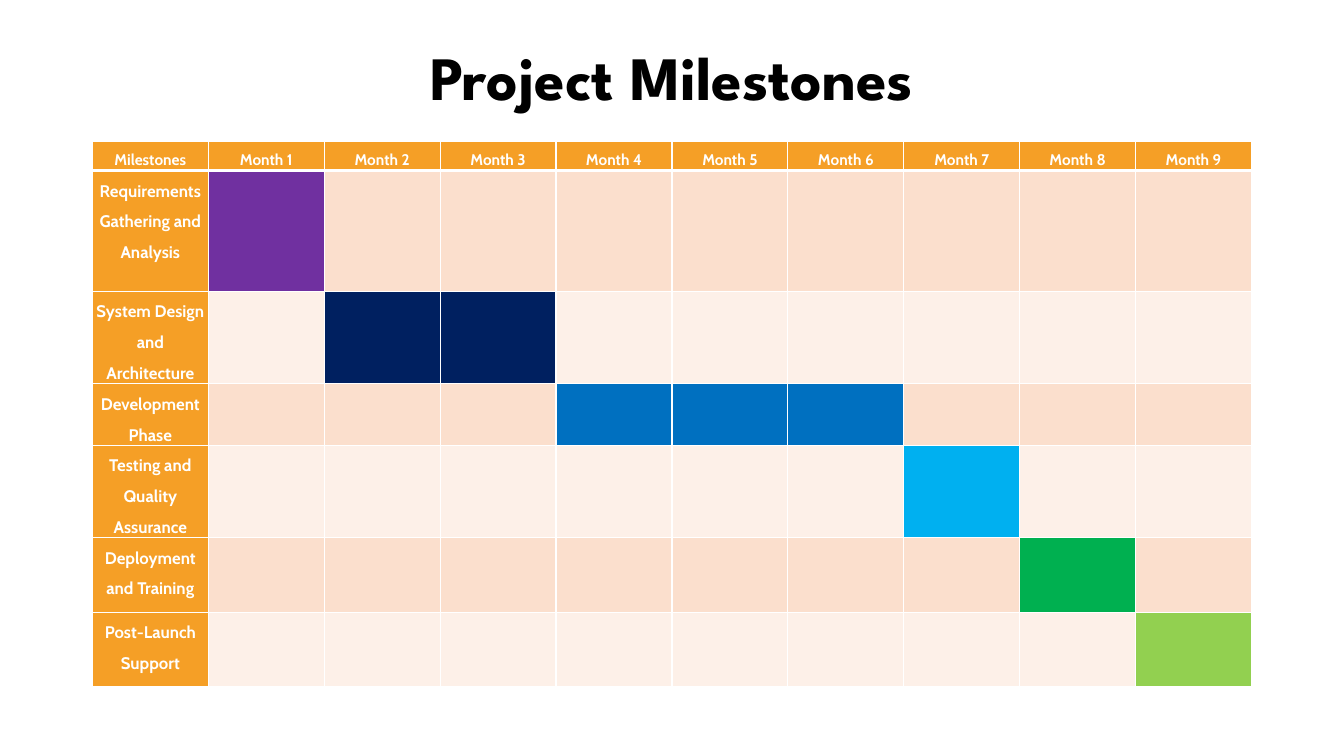
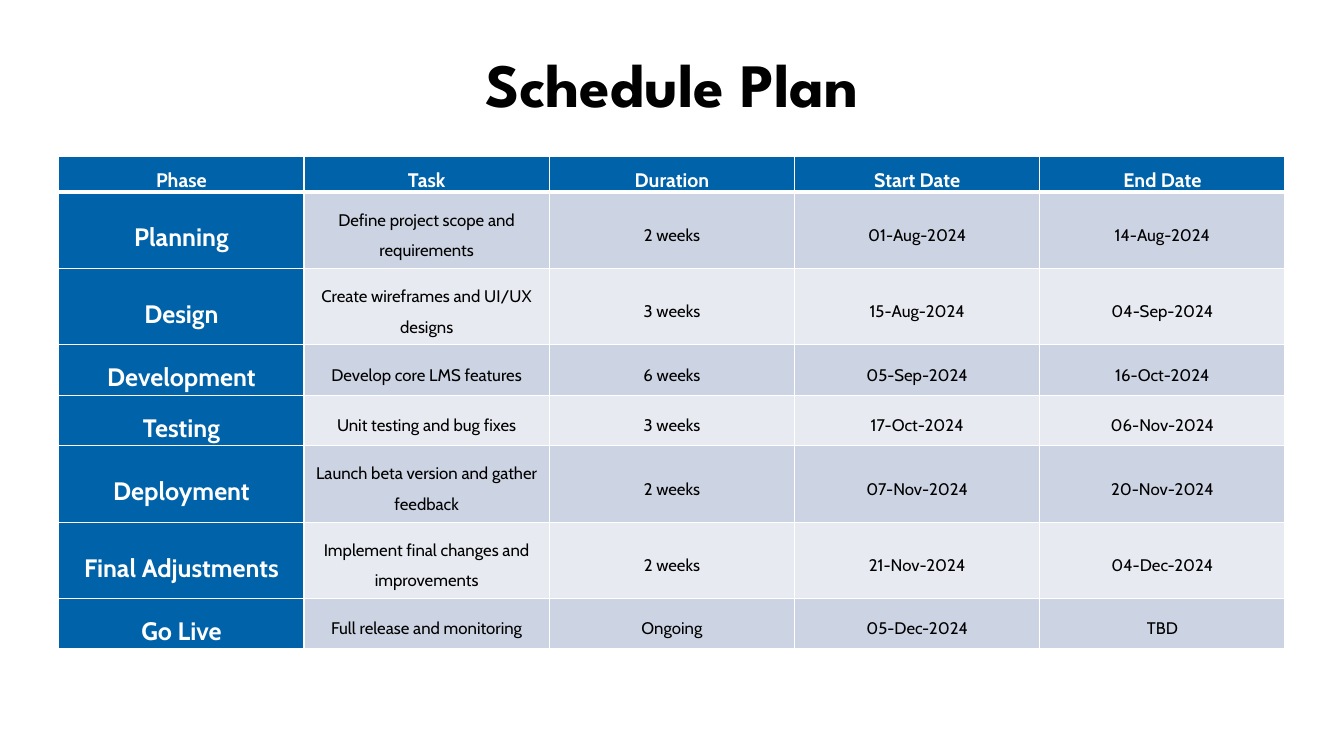
from dataclasses import dataclass
from typing import Any

from lxml.etree import SubElement
from pptx import Presentation
from pptx.dml.color import RGBColor
from pptx.enum.text import MSO_ANCHOR, PP_ALIGN
from pptx.oxml.ns import qn
from pptx.util import Inches, Pt

UNIT = Inches(1 / 12)
WIDE, HIGH = 160, 90
WHITE, BLACK = "FFFFFF", "000000"
MONTHS = 9


@dataclass
class Theme:
    head: str
    bands: tuple[str, str]
    inset: float
    anchor: Any
    sizes: tuple[int, int, int]


@dataclass
class Grid:
    left: float
    top: float
    width: float
    rows: list[float]
    theme: Theme
    cells: list[list[str]]
    fills: dict[tuple[int, int], str]


@dataclass
class Stage:
    name: str
    first: int
    last: int
    color: str


ORANGE = Theme("F59F26", ("FDF0E8", "FBDFCD"), 0.03, MSO_ANCHOR.TOP, (11, 12, 12))
BLUE = Theme("0062A9", ("E7EAF1", "CCD3E2"), 0.07, MSO_ANCHOR.MIDDLE, (14, 18, 12))

STAGES = [
    Stage("Requirements Gathering and Analysis", 1, 1, "7030A0"),
    Stage("System Design and Architecture", 2, 3, "002060"),
    Stage("Development Phase", 4, 6, "0070C0"),
    Stage("Testing and Quality Assurance", 7, 7, "00B0F0"),
    Stage("Deployment and Training", 8, 8, "00B050"),
    Stage("Post-Launch Support", 9, 9, "92D050"),
]

PLAN = [
    ["Phase", "Task", "Duration", "Start Date", "End Date"],
    ["Planning", "Define project scope and requirements", "2 weeks", "01-Aug-2024", "14-Aug-2024"],
    ["Design", "Create wireframes and UI/UX designs", "3 weeks", "15-Aug-2024", "04-Sep-2024"],
    ["Development", "Develop core LMS features", "6 weeks", "05-Sep-2024", "16-Oct-2024"],
    ["Testing", "Unit testing and bug fixes", "3 weeks", "17-Oct-2024", "06-Nov-2024"],
    ["Deployment", "Launch beta version and gather feedback", "2 weeks", "07-Nov-2024", "20-Nov-2024"],
    ["Final Adjustments", "Implement final changes and improvements", "2 weeks", "21-Nov-2024", "04-Dec-2024"],
    ["Go Live", "Full release and monitoring", "Ongoing", "05-Dec-2024", "TBD"],
]


def span(count: float) -> int:
    return round(count * UNIT)


def hue(code: str) -> RGBColor:
    return RGBColor.from_string(code)


def apply(thing: Any, form: dict[str, Any]) -> None:
    for name, value in form.items():
        setattr(thing, name, value)


def write(frame: Any, text: str, color: str, font: dict, para: dict) -> None:
    line = frame.paragraphs[0]
    apply(line, {"alignment": PP_ALIGN.CENTER, **para})
    run = line.add_run()
    run.text = text
    apply(run.font, font)
    run.font.color.rgb = hue(color)


def edge(cell: Any, row: int) -> None:
    props = cell._tc.get_or_add_tcPr()
    widths = {"L": 1, "R": 1, "T": 3 if row == 1 else 1, "B": 3 if row == 0 else 1}
    for place, (side, width) in enumerate(widths.items()):
        line = SubElement(props, qn(f"a:ln{side}"), w=str(Pt(width)))
        fill = SubElement(line, qn("a:solidFill"))
        SubElement(fill, qn("a:srgbClr"), val=WHITE)
        props.insert(place, line)


def paint(cell: Any, row: int, col: int, text: str, grid: Grid) -> None:
    theme = grid.theme
    bold = row == 0 or col == 0
    back = theme.head if bold else theme.bands[row % 2]
    cell.fill.solid()
    cell.fill.fore_color.rgb = hue(grid.fills.get((row, col), back))
    edge(cell, row)
    inset = Inches(theme.inset)
    apply(cell, {
        "margin_left": inset, "margin_right": inset,
        "margin_top": 0, "margin_bottom": 0,
        "vertical_anchor": theme.anchor,
    })
    if text:
        size = theme.sizes[0 if row == 0 else 1 if col == 0 else 2]
        write(cell.text_frame, text, WHITE if bold else BLACK,
              {"name": "Cabin", "size": Pt(size), "bold": bold},
              {"line_spacing": 1.5, "space_after": Pt(8)})


def draw(deck: Any, title: str, tall: float, grid: Grid) -> None:
    slide = deck.slides.add_slide(deck.slide_layouts[5])
    head = slide.shapes.title
    apply(head, {"left": span(11), "top": span(4.8),
                 "width": span(WIDE - 22), "height": span(tall)})
    head.text_frame.vertical_anchor = MSO_ANCHOR.MIDDLE
    write(head.text_frame, title, BLACK,
          {"name": "League Spartan", "size": Pt(44), "bold": True},
          {"line_spacing": 0.9})
    count = len(grid.cells[0])
    table = slide.shapes.add_table(
        len(grid.rows), count, span(grid.left), span(grid.top),
        span(grid.width), span(sum(grid.rows))).table
    table.first_col = True
    for col in table.columns:
        col.width = span(grid.width / count)
    for row, (tall, texts) in enumerate(zip(grid.rows, grid.cells)):
        table.rows[row].height = span(tall)
        for col, text in enumerate(texts):
            paint(table.cell(row, col), row, col, text, grid)


def main() -> None:
    deck = Presentation()
    apply(deck, {"slide_width": span(WIDE), "slide_height": span(HIGH)})
    months = [f"Month {month}" for month in range(1, MONTHS + 1)]
    chart = [["Milestones", *months]]
    chart += [[stage.name] + [""] * MONTHS for stage in STAGES]
    bars = {(row, month): stage.color
            for row, stage in enumerate(STAGES, 1)
            for month in range(stage.first, stage.last + 1)}
    draw(deck, "Project Milestones", 9.5, Grid(
        11, 16.8, WIDE - 22, [3.5, 14.4, 10.8, 7.1, 10.8, 8.9, 8.9],
        ORANGE, chart, bars))
    draw(deck, "Schedule Plan", 11.2, Grid(
        7, 18.6, WIDE - 14, [2.8, 9.1, 9.1, 6, 6, 9.1, 9.1, 6],
        BLUE, PLAN, {}))
    deck.save("out.pptx")


if __name__ == "__main__":
    main()
